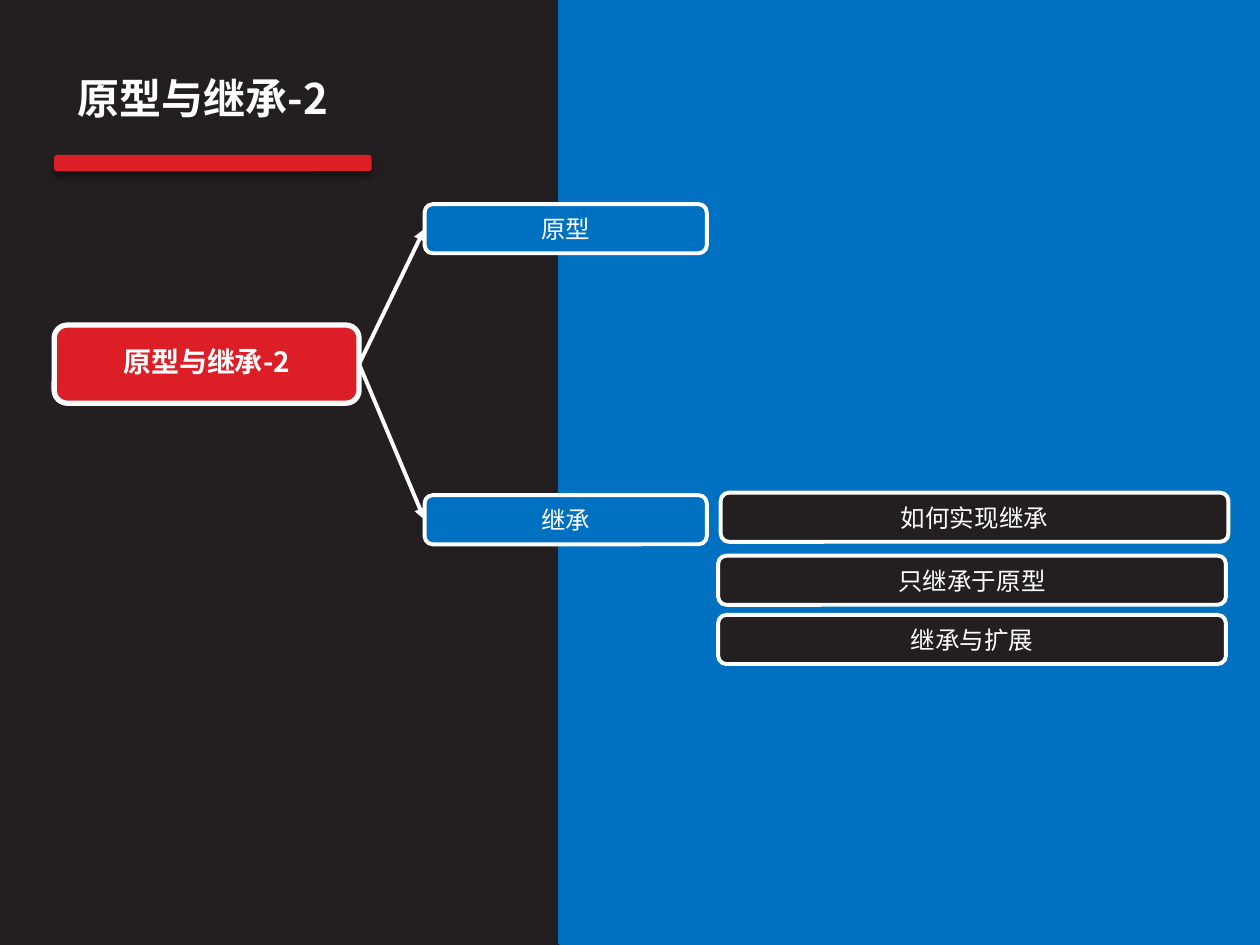
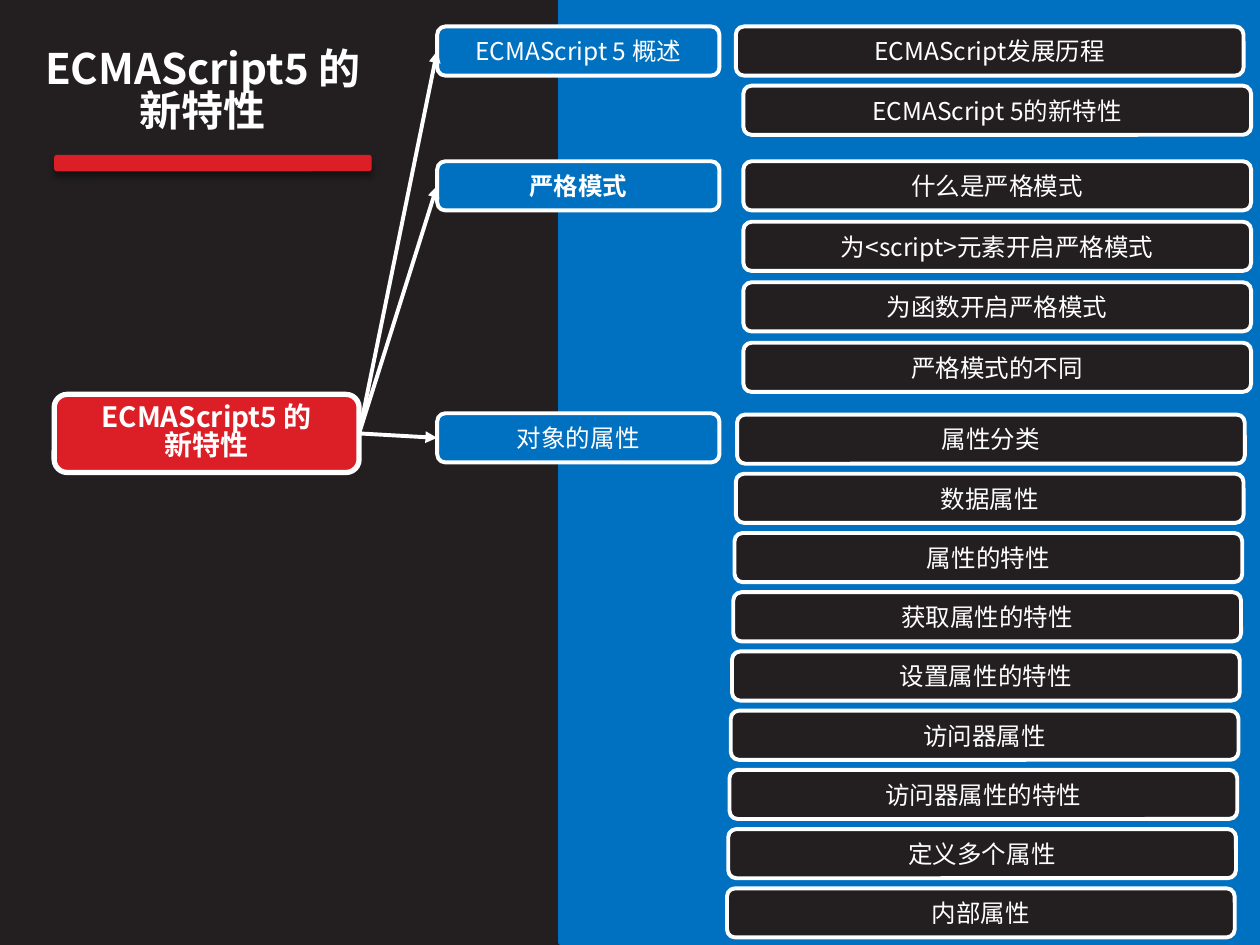
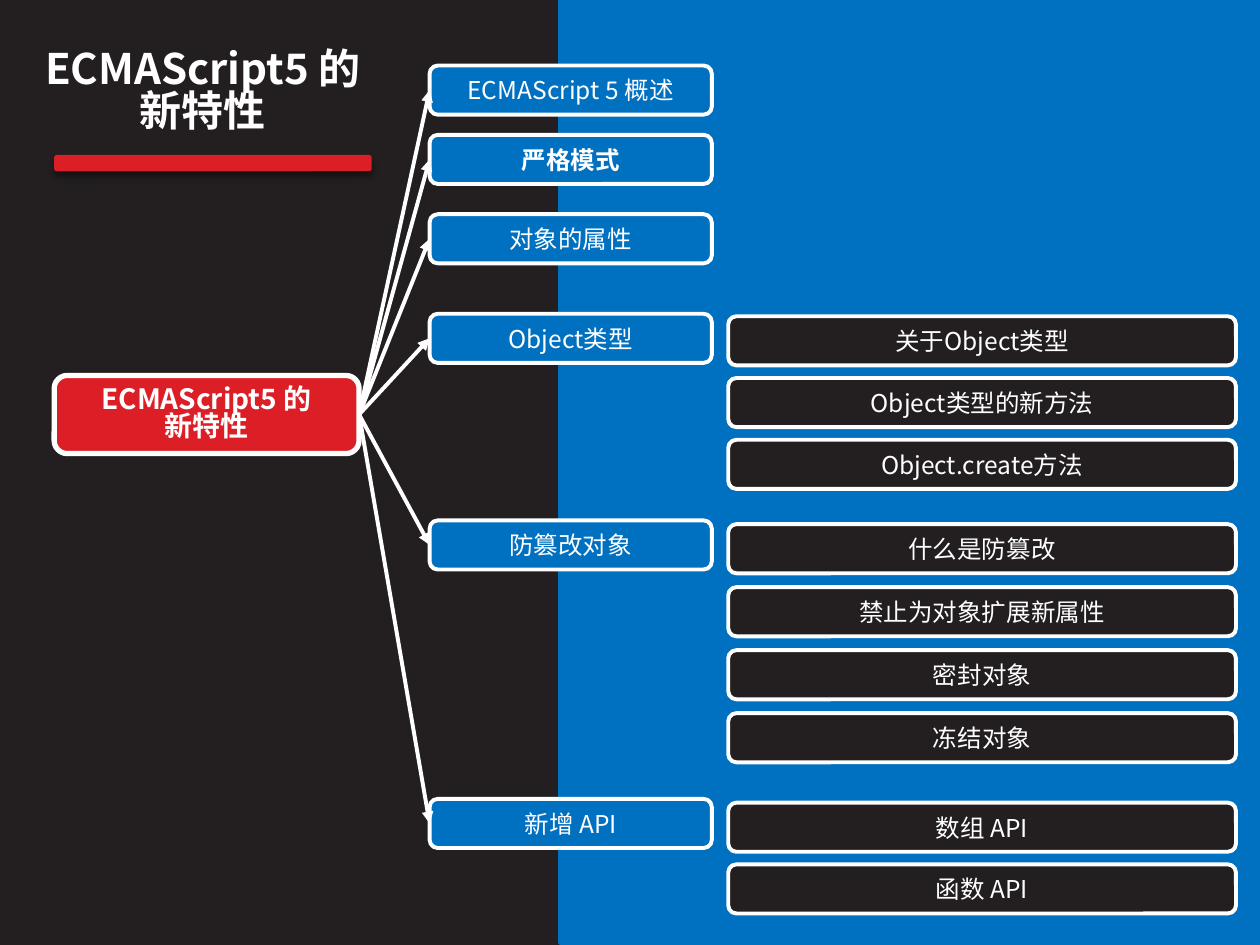
from dataclasses import dataclass

from pptx import Presentation
from pptx.dml.color import RGBColor
from pptx.enum.shapes import MSO_CONNECTOR, MSO_SHAPE
from pptx.enum.text import MSO_ANCHOR, MSO_AUTO_SIZE, PP_ALIGN
from pptx.oxml import parse_xml
from pptx.oxml.ns import nsdecls
from pptx.oxml.xmlchemy import OxmlElement
from pptx.presentation import Presentation as Deck
from pptx.shapes.autoshape import Shape
from pptx.slide import Slide
from pptx.text.text import TextFrame
from pptx.util import Inches, Pt

RECT = MSO_SHAPE.RECTANGLE
ROUNDED = MSO_SHAPE.ROUNDED_RECTANGLE
STRAIGHT = MSO_CONNECTOR.STRAIGHT
CENTER = PP_ALIGN.CENTER
TOP = MSO_ANCHOR.TOP
MIDDLE = MSO_ANCHOR.MIDDLE
NO_AUTOFIT = MSO_AUTO_SIZE.NONE

INK = "231F20"
BLUE = "0070C0"
RED = "DC1F26"
WHITE = "FFFFFF"
FONT = "Noto Sans CJK SC"
HEADING_SPACING = 0.82
LEFT_SITE, RIGHT_SITE = 1, 3
ROW_HEIGHT = 0.39
BRANCH_WIDTH = 2.24
LEAF_WIDTH = 4.03


@dataclass(frozen=True)
class Box:
    left: float
    top: float
    width: float
    height: float


@dataclass(frozen=True)
class Leaves:
    left: float
    top: float
    labels: tuple[str, ...]
    pitch: float = 0.47
    drift: float = 0


@dataclass(frozen=True)
class Branch:
    label: str
    top: float
    leaves: tuple[Leaves, ...] = ()
    bold: bool = False


@dataclass(frozen=True)
class Topic:
    title: str
    title_top: float
    root_top: float
    branch_left: float
    branches: tuple[Branch, ...]


def rgb(value: str) -> RGBColor:
    return RGBColor.from_string(value)


def write(frame: TextFrame, text: str, size: float, bold: bool, spacing: float | None = None) -> None:
    frame.text = text
    frame.word_wrap = True
    for paragraph in frame.paragraphs:
        paragraph.alignment = CENTER
        paragraph.line_spacing = spacing
        font = paragraph.font
        font.size = Pt(size)
        font.bold = bold
        font.color.rgb = rgb(WHITE)
        font.name = FONT
        east_asian = OxmlElement("a:ea")
        east_asian.set("typeface", FONT)
        font._element.append(east_asian)


def add_block(slide: Slide, kind: MSO_SHAPE, box: Box, fill: str,
              line: str | None = None, weight: float = 2.25) -> Shape:
    block = slide.shapes.add_shape(
        kind, Inches(box.left), Inches(box.top), Inches(box.width), Inches(box.height))
    block.shadow.inherit = False
    block.fill.solid()
    block.fill.fore_color.rgb = rgb(fill)
    if line is None:
        block.line.fill.background()
    else:
        block.line.color.rgb = rgb(line)
        block.line.width = Pt(weight)
    return block


def add_label(slide: Slide, box: Box, text: str, fill: str, size: float = 14,
              bold: bool = False, weight: float = 2.25, spacing: float | None = None) -> Shape:
    label = add_block(slide, ROUNDED, box, fill, WHITE, weight)
    label.text_frame.vertical_anchor = MIDDLE
    write(label.text_frame, text, size, bold, spacing)
    return label


def add_arrow(slide: Slide, root: Shape, branch: Shape) -> None:
    arrow = slide.shapes.add_connector(STRAIGHT, 0, 0, 0, 0)
    arrow.begin_connect(root, RIGHT_SITE)
    arrow.end_connect(branch, LEFT_SITE)
    arrow.line.color.rgb = rgb(WHITE)
    arrow.line.width = Pt(2.25)
    head = OxmlElement("a:tailEnd")
    head.set("type", "triangle")
    arrow.line._get_or_add_ln().append(head)
    arrow._element.spPr.append(OxmlElement("a:effectLst"))


def add_heading(slide: Slide, topic: Topic) -> None:
    title = slide.shapes.title
    title.left, title.top = Inches(-0.2), Inches(topic.title_top)
    title.width, title.height = Inches(3.62), Inches(0.71)
    frame = title.text_frame
    frame.auto_size = NO_AUTOFIT
    frame.vertical_anchor = TOP
    write(frame, topic.title, 24, True, HEADING_SPACING)
    underline = add_block(slide, ROUNDED, Box(0.43, 1.23, 2.52, 0.13), RED)
    underline._element.spPr.find(
        "{http://schemas.openxmlformats.org/drawingml/2006/main}effectLst").append(parse_xml(
            f'<a:outerShdw {nsdecls("a")} blurRad="{Pt(4)}" dist="{Pt(3)}" dir="5400000" '
            'rotWithShape="0"><a:srgbClr val="000000"><a:alpha val="43000"/>'
            '</a:srgbClr></a:outerShdw>'))


def add_leaves(slide: Slide, leaves: Leaves) -> None:
    for row, text in enumerate(leaves.labels):
        box = Box(leaves.left + row * leaves.drift, leaves.top + row * leaves.pitch,
                  LEAF_WIDTH, ROW_HEIGHT)
        add_label(slide, box, text, INK)


def add_topic(deck: Deck, topic: Topic) -> Slide:
    slide = deck.slides.add_slide(deck.slide_layouts[5])
    add_heading(slide, topic)
    root = add_label(slide, Box(0.43, topic.root_top, 2.42, 0.62), topic.title, RED,
                     size=16, bold=True, weight=3, spacing=HEADING_SPACING)
    for branch in topic.branches:
        box = Box(topic.branch_left, branch.top, BRANCH_WIDTH, ROW_HEIGHT)
        label = add_label(slide, box, branch.label, BLUE, bold=branch.bold)
        add_arrow(slide, root, label)
        for leaves in branch.leaves:
            add_leaves(slide, leaves)
    return slide


def share_backdrop(deck: Deck, slide: Slide) -> None:
    backdrop = deck.slide_master.background.fill
    backdrop.solid()
    backdrop.fore_color.rgb = rgb(INK)
    panel = add_block(slide, RECT, Box(4.45, 0, 5.55, 7.48), BLUE, BLUE, 3)
    slide.slide_layout.shapes._spTree.insert(2, panel._element)


FEATURES = "ECMAScript5 的\n新特性"
OVERVIEW = "ECMAScript 5 概述"
STRICT_MODE = "严格模式"
PROPERTIES = "对象的属性"

TOPICS = (
    Topic("原型与继承-2", 0.6, 2.58, 3.37, (
        Branch("原型", 1.62),
        Branch("继承", 3.93, (
            Leaves(5.72, 3.91, ("如何实现继承",)),
            Leaves(5.7, 4.41, ("只继承于原型", "继承与扩展")),
        )),
    )),
    Topic(FEATURES, 0.36, 3.13, 3.47, (
        Branch(OVERVIEW, 0.21, (
            Leaves(5.84, 0.21, ("ECMAScript发展历程", "ECMAScript 5的新特性"), drift=0.06),
        )),
        Branch(STRICT_MODE, 1.28, (
            Leaves(5.9, 1.28, ("什么是严格模式", "为<script>元素开启严格模式",
                               "为函数开启严格模式", "严格模式的不同"), pitch=0.48),
        ), bold=True),
        Branch(PROPERTIES, 3.28, (
            Leaves(5.85, 3.29, ("属性分类", "数据属性", "属性的特性", "获取属性的特性",
                                "设置属性的特性", "访问器属性", "访问器属性的特性",
                                "定义多个属性", "内部属性"), drift=-0.01),
        )),
    )),
    Topic(FEATURES, 0.36, 2.98, 3.41, (
        Branch(OVERVIEW, 0.52),
        Branch(STRICT_MODE, 1.07, bold=True),
        Branch(PROPERTIES, 1.7),
        Branch("Object类型", 2.49, (
            Leaves(5.78, 2.51, ("关于Object类型", "Object类型的新方法",
                                "Object.create方法"), pitch=0.49),
        )),
        Branch("防篡改对象", 4.13, (
            Leaves(5.78, 4.16, ("什么是防篡改", "禁止为对象扩展新属性",
                                "密封对象", "冻结对象"), pitch=0.5),
        )),
        Branch("新增 API", 6.34, (
            Leaves(5.78, 6.37, ("数组 API", "函数 API"), pitch=0.49),
        )),
    )),
)


def main() -> None:
    deck = Presentation()
    deck.slide_width, deck.slide_height = Inches(10), Inches(7.5)
    slides = [add_topic(deck, topic) for topic in TOPICS]
    share_backdrop(deck, slides[0])
    deck.save("out.pptx")


main()
